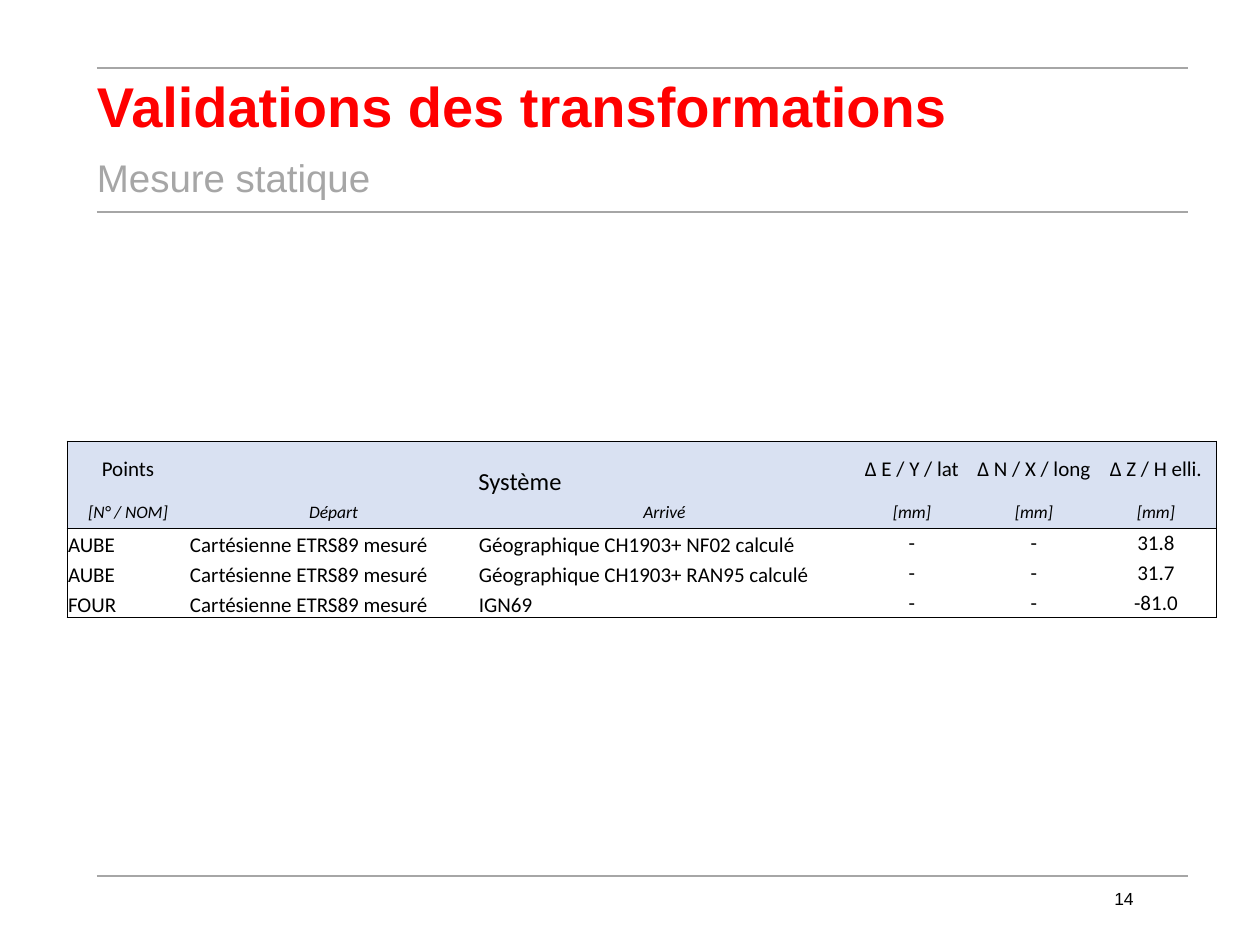
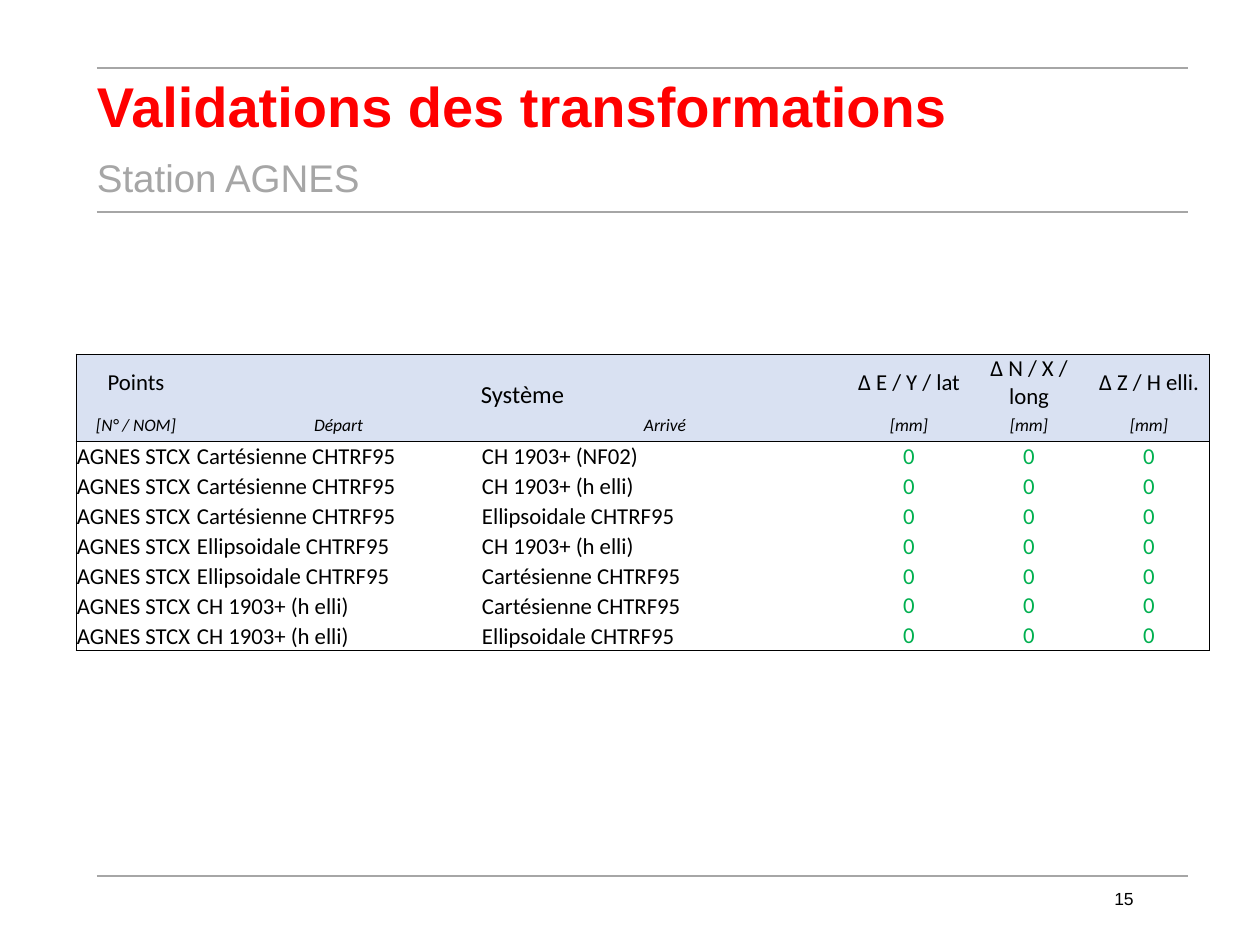
import pptx
import pptx.util
import pptx.dml.color
import pptx.enum.text
import pptx.enum.shapes
import pptx.oxml.ns
from lxml import etree

# Content
TITLE = "Validations des transformations"
HEAD = ["Points", "Système", "", "∆ E / Y / lat", "∆ N / X / long", "∆ Z / H elli."]
UNITS = ["[N° / NOM]", "Départ", "Arrivé", "[mm]", "[mm]", "[mm]"]
CART, ELLI, PLANE = "Cartésienne CHTRF95", "Ellipsoidale CHTRF95", "CH 1903+ (h elli)"
PAIRS = [
    (CART, "CH 1903+ (NF02)"), (CART, PLANE), (CART, ELLI), (ELLI, PLANE),
    (ELLI, CART), (PLANE, CART), (PLANE, ELLI),
]
FIELD = "Cartésienne ETRS89 mesuré"
SLIDES = [
    dict(sub="Mesure statique", num="14", at=(67, 441), size=12, tint="000000",
         cols=[122, 289, 373, 122, 122, 122],
         rows=[
             ("AUBE", FIELD, "Géographique CH1903+ NF02 calculé", "-", "-", "31.8"),
             ("AUBE", FIELD, "Géographique CH1903+ RAN95 calculé", "-", "-", "31.7"),
             ("FOUR", FIELD, "IGN69", "-", "-", "-81.0"),
         ]),
    dict(sub="Station AGNES", num="15", at=(76, 354), size=13, tint="00B050",
         cols=[120, 285, 368, 120, 120, 120],
         rows=[("AGNES STCX", start, end, "0", "0", "0") for start, end in PAIRS]),
]

# Shared look
PX = 914400 // 126
LEFT, WIDTH = 97, 1091
RULES = [68, 212, 876]
TOP, MID, FOOT = RULES
SPLIT = 142
HEIGHTS, LINE = [56, 31], 30
RED, GREY, BLACK, PALE = "FF0000", "A6A6A6", "000000", "D9E1F2"
ALIGN = pptx.enum.text.PP_ALIGN
ANCHOR = pptx.enum.text.MSO_ANCHOR


def px(n):
    return pptx.util.Emu(n * PX)


def rgb(code):
    return pptx.dml.color.RGBColor.from_string(code)


def style(par, size, color, font="Arial", align=ALIGN.LEFT, bold=False, slant=False):
    par.alignment = align
    for run in par.runs:
        face = run.font
        face.name, face.size = font, pptx.util.Pt(size)
        face.bold, face.italic = bold, slant
        face.color.rgb = rgb(color)


def place(shape, x, y, w, h):
    shape.left, shape.top, shape.width, shape.height = map(px, (x, y, w, h))


def add_rule(slide, y):
    kind = pptx.enum.shapes.MSO_CONNECTOR.STRAIGHT
    rule = slide.shapes.add_connector(kind, px(LEFT), px(y), px(LEFT + WIDTH), px(y))
    rule.line.color.rgb = rgb(GREY)
    rule.line.width = pptx.util.Pt(0.75)
    etree.SubElement(rule._element.spPr, pptx.oxml.ns.qn("a:effectLst"))


def fill_head(shape, text, top, base, size, color, bold):
    place(shape, LEFT, top, WIDTH, base - top)
    frame = shape.text_frame
    frame.text = text
    frame.auto_size = pptx.enum.text.MSO_AUTO_SIZE.NONE
    frame.vertical_anchor = ANCHOR.MIDDLE
    frame.margin_left = frame.margin_right = frame.margin_top = frame.margin_bottom = 0
    par = frame.paragraphs[0]
    par.space_before = pptx.util.Pt(size * 0.2)
    style(par, size, color, bold=bold)
    props = par._p.get_or_add_pPr()
    props.set("marL", "0")
    props.set("indent", "0")
    etree.SubElement(props, pptx.oxml.ns.qn("a:buNone"))


def add_num(slide, text):
    box = slide.shapes.add_textbox(px(852), px(FOOT), px(294), px(44))
    box.text_frame.word_wrap = True
    box.text_frame.vertical_anchor = ANCHOR.MIDDLE
    box.text_frame.text = text
    style(box.text_frame.paragraphs[0], 10, BLACK, align=ALIGN.RIGHT)


def set_edges(cell, drawn):
    # Borders precede the fill, in the order left, right, top, bottom
    qn = pptx.oxml.ns.qn
    props = cell._tc.get_or_add_tcPr()
    for spot, side in enumerate("LRTB"):
        edge = etree.Element(qn("a:ln" + side), w="6350")
        if side in drawn:
            paint = etree.SubElement(edge, qn("a:solidFill"))
            etree.SubElement(paint, qn("a:srgbClr"), val=BLACK)
        else:
            etree.SubElement(edge, qn("a:noFill"))
        props.insert(spot, edge)


def fill_cell(cell, text, row, col, last, spec):
    head, unit = row < 2, row == 1
    span = row == 0 and col == 1
    label = not head and col < 3
    size = 14 if span else 10 if unit else spec["size"]
    color = spec["tint"] if not head and col > 2 else BLACK
    cell.margin_left = cell.margin_right = cell.margin_top = px(1)
    cell.margin_bottom = 0
    cell.vertical_anchor = ANCHOR.BOTTOM if span or label else ANCHOR.MIDDLE
    if text:
        cell.text_frame.text = text
    style(cell.text_frame.paragraphs[0], size, color, "Calibri",
          ALIGN.LEFT if label else ALIGN.CENTER, slant=unit)
    if head:
        cell.fill.solid()
        cell.fill.fore_color.rgb = rgb(PALE)
    else:
        cell.fill.background()
    tests = {"L": col == 0, "R": col == len(HEAD) - 1,
             "T": row in (0, 2), "B": row in (1, last)}
    set_edges(cell, [side for side, on in tests.items() if on])


def add_grid(slide, spec):
    data = [HEAD, UNITS] + spec["rows"]
    tall = HEIGHTS + [LINE] * len(spec["rows"])
    x, y = spec["at"]
    grid = slide.shapes.add_table(len(data), len(HEAD), px(x), px(y),
                                  px(sum(spec["cols"])), px(sum(tall))).table
    grid.first_row = grid.horz_banding = False
    for col, wide in zip(grid.columns, spec["cols"]):
        col.width = px(wide)
    for row, high in zip(grid.rows, tall):
        row.height = px(high)
    grid.cell(0, 1).merge(grid.cell(0, 2))
    for r, line in enumerate(data):
        for c, text in enumerate(line):
            fill_cell(grid.cell(r, c), text, r, c, len(data) - 1, spec)


def main():
    deck = pptx.Presentation()
    deck.slide_width, deck.slide_height = px(1260), px(945)
    for spec in SLIDES:
        slide = deck.slides.add_slide(deck.slide_layouts[1])
        for y in RULES:
            add_rule(slide, y)
        fill_head(slide.shapes.title, TITLE, TOP, SPLIT, 32, RED, True)
        fill_head(slide.placeholders[1], spec["sub"], SPLIT, MID, 22, GREY, False)
        add_num(slide, spec["num"])
        add_grid(slide, spec)
    deck.save("out.pptx")


if __name__ == "__main__":
    main()
